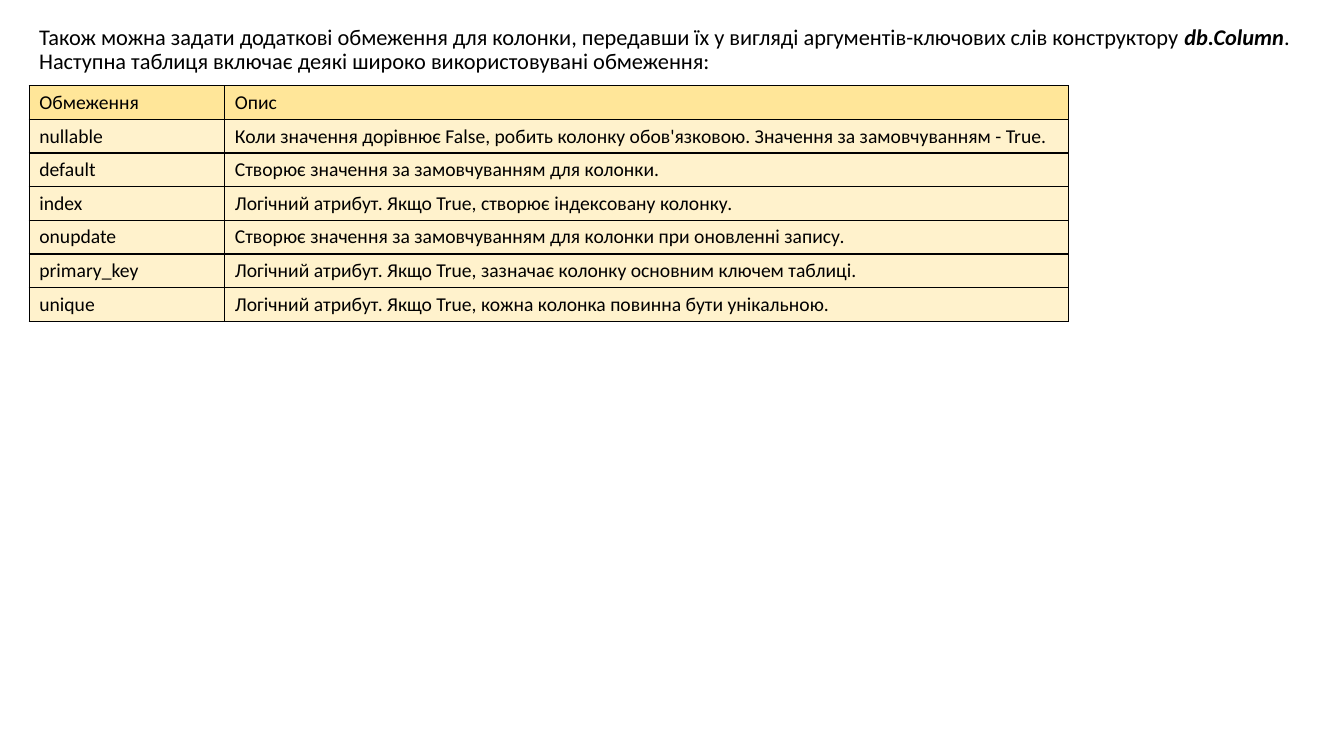
from dataclasses import dataclass

from lxml.etree import SubElement
from pptx import Presentation
from pptx.dml.color import RGBColor
from pptx.enum.text import MSO_ANCHOR
from pptx.oxml.ns import qn
from pptx.slide import Slide
from pptx.table import _Cell as Cell
from pptx.text.text import _Paragraph as Paragraph
from pptx.util import Emu, Pt

EMU_PER_PX = 9144  # 100 px to the inch


@dataclass(frozen=True)
class Theme:
    font: str = "Calibri"
    text: str = "000000"
    border: str = "000000"
    header_fill: str = "FFE699"
    body_fill: str = "FFF2CC"
    intro_size: int = 16
    table_size: int = 14
    border_width: int = 1


@dataclass(frozen=True)
class Box:
    left: int
    top: int
    width: int
    height: int

    def emu(self) -> tuple[Emu, ...]:
        return tuple(px(n) for n in (self.left, self.top, self.width, self.height))


@dataclass(frozen=True)
class Constraint:
    name: str
    description: str


THEME = Theme()
SLIDE_WIDTH, SLIDE_HEIGHT = 1333, 750
INTRO_BOX = Box(29, 21, 1274, 698)
TABLE_LEFT, TABLE_TOP = 29, 85
COLUMN_WIDTHS = (194, 837)
ROW_HEIGHT = 33

INTRO_START = (
    "Також можна задати додаткові обмеження для колонки, передавши їх "
    "у вигляді аргументів-ключових слів конструктору "
)
INTRO_TERM = "db.Column"
INTRO_END = ". Наступна таблиця включає деякі широко використовувані обмеження:"

HEADER = Constraint("Обмеження", "Опис")
CONSTRAINTS = (
    Constraint(
        "nullable",
        "Коли значення дорівнює False, робить колонку обов'язковою. "
        "Значення за замовчуванням - True.",
    ),
    Constraint("default", "Створює значення за замовчуванням для колонки."),
    Constraint("index", "Логічний атрибут. Якщо True, створює індексовану колонку."),
    Constraint(
        "onupdate",
        "Створює значення за замовчуванням для колонки при оновленні запису.",
    ),
    Constraint(
        "primary_key",
        "Логічний атрибут. Якщо True, зазначає колонку основним ключем таблиці.",
    ),
    Constraint(
        "unique",
        "Логічний атрибут. Якщо True, кожна колонка повинна бути унікальною.",
    ),
)


def px(length: int) -> Emu:
    return Emu(length * EMU_PER_PX)


def set_font(paragraph: Paragraph, size: int) -> None:
    font = paragraph.font
    font.name = THEME.font
    font.size = Pt(size)
    font.color.rgb = RGBColor.from_string(THEME.text)


def add_intro(slide: Slide) -> None:
    frame = slide.shapes.add_textbox(*INTRO_BOX.emu()).text_frame
    frame.word_wrap = True
    paragraph = frame.paragraphs[0]
    paragraph.line_spacing = 0.9
    set_font(paragraph, THEME.intro_size)
    for text in (INTRO_START, INTRO_TERM, INTRO_END):
        run = paragraph.add_run()
        run.text = text
        if text == INTRO_TERM:
            run.font.bold = run.font.italic = True


def add_borders(cell: Cell) -> None:
    """Outline all four sides; the lines must precede the fill in the XML."""
    properties = cell._tc.get_or_add_tcPr()
    for index, side in enumerate(("lnL", "lnR", "lnT", "lnB")):
        line = SubElement(properties, qn(f"a:{side}"), w=str(Pt(THEME.border_width)))
        fill = SubElement(line, qn("a:solidFill"))
        SubElement(fill, qn("a:srgbClr"), val=THEME.border)
        properties.insert(index, line)


def fill_cell(cell: Cell, text: str, color: str) -> None:
    cell.text = text
    cell.vertical_anchor = MSO_ANCHOR.MIDDLE
    cell.fill.solid()
    cell.fill.fore_color.rgb = RGBColor.from_string(color)
    set_font(cell.text_frame.paragraphs[0], THEME.table_size)
    add_borders(cell)


def add_constraint_table(slide: Slide) -> None:
    rows = (HEADER, *CONSTRAINTS)
    box = Box(TABLE_LEFT, TABLE_TOP, sum(COLUMN_WIDTHS), ROW_HEIGHT * len(rows))
    table = slide.shapes.add_table(len(rows), len(COLUMN_WIDTHS), *box.emu()).table
    table.first_row = table.horz_banding = False
    for column, width in zip(table.columns, COLUMN_WIDTHS):
        column.width = px(width)
    for row, constraint in zip(table.rows, rows):
        color = THEME.header_fill if constraint is HEADER else THEME.body_fill
        for cell, text in zip(row.cells, (constraint.name, constraint.description)):
            fill_cell(cell, text, color)


def main() -> None:
    presentation = Presentation()
    presentation.slide_width = px(SLIDE_WIDTH)
    presentation.slide_height = px(SLIDE_HEIGHT)
    slide = presentation.slides.add_slide(presentation.slide_layouts[6])
    add_intro(slide)
    add_constraint_table(slide)
    presentation.save("out.pptx")


if __name__ == "__main__":
    main()
